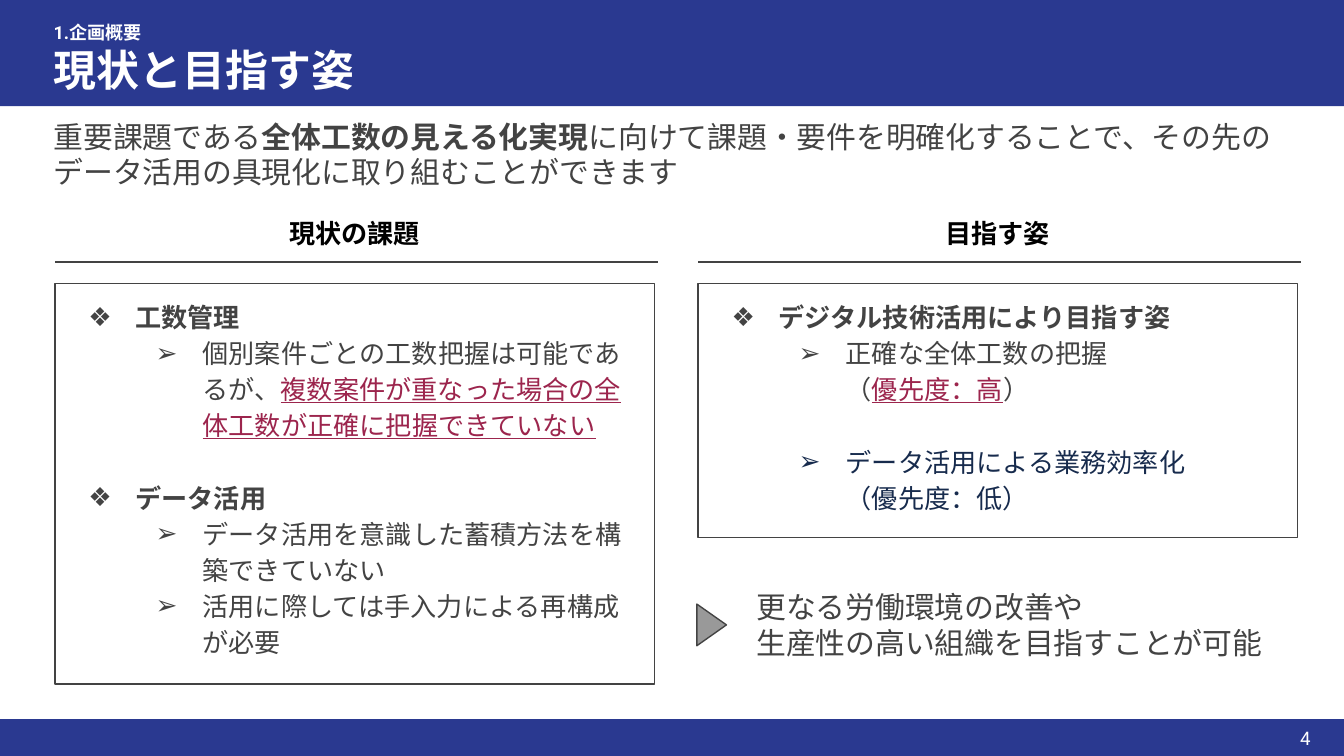
from dataclasses import dataclass

import lxml.etree
import pptx
import pptx.dml.color
import pptx.enum.shapes
import pptx.enum.text
import pptx.oxml.ns
import pptx.util

COLUMNS, ROWS = 100, 56.25
FONT = "Roboto"
NAVY, GREY, RED, INK = "2A3990", "434343", "9C254D", "172B4D"
WHITE, BLACK, SILVER = "FFFFFF", "000000", "999999"
BULLETS = "❖➢"
SHAPE = pptx.enum.shapes.MSO_SHAPE
ALIGN = pptx.enum.text.PP_ALIGN
ANCHOR = pptx.enum.text.MSO_ANCHOR


@dataclass
class Run:
    text: str
    bold: bool | None = None
    color: str | None = None
    underline: bool | None = None


@dataclass
class Para:
    runs: list[Run]
    size: float = 14
    color: str = GREY
    bold: bool = False
    align: ALIGN = ALIGN.LEFT
    level: int | None = None
    gap: float = 0


@dataclass
class Panel:
    left: float
    heading: str
    height: float
    items: list[Para]


def grid(cells: float) -> int:
    """Turn grid cells into a length."""
    return pptx.util.Inches(10 * cells / COLUMNS)


def rgb(value: str) -> pptx.dml.color.RGBColor:
    """Turn a hex string into a colour."""
    return pptx.dml.color.RGBColor.from_string(value)


def sub(parent, tag: str, **attrs: str):
    """Append a drawing element to its parent."""
    return lxml.etree.SubElement(parent, pptx.oxml.ns.qn(tag), attrs)


def set_bullet(p, level: int, color: str) -> None:
    """Give a paragraph its outline bullet and hanging indent."""
    p.level = level
    p.line_spacing = 1.15
    pPr = p._p.get_or_add_pPr()
    pPr.set("marL", str(grid(5 * (level + 1))))
    pPr.set("indent", str(-grid(3.5)))
    sub(sub(pPr, "a:buClr"), "a:srgbClr", val=color)
    sub(pPr, "a:buFont", typeface=FONT)
    sub(pPr, "a:buChar", char=BULLETS[level])


def write(s, paras: list[Para], anchor: ANCHOR = ANCHOR.TOP) -> None:
    """Fill a shape with paragraphs."""
    tf = s.text_frame
    tf.word_wrap = True
    tf.vertical_anchor = anchor
    tf.margin_left = tf.margin_right = tf.margin_top = tf.margin_bottom = grid(1)
    for i, para in enumerate(paras):
        p = tf.paragraphs[0] if i == 0 else tf.add_paragraph()
        p.alignment = para.align
        if para.gap:
            p.space_before = pptx.util.Pt(para.gap)
        if para.level is not None:
            set_bullet(p, para.level, para.color)
        font = p.font
        font.size, font.bold, font.name = pptx.util.Pt(para.size), para.bold, FONT
        font.color.rgb = rgb(para.color)
        sub(font._element, "a:ea", typeface=FONT)
        for run in para.runs:
            for n, line in enumerate(run.text.split("\n")):
                if n:
                    p.add_line_break()
                r = p.add_run()
                r.text = line
                r.font.bold, r.font.underline = run.bold, run.underline
                if run.color:
                    r.font.color.rgb = rgb(run.color)


def add_text(slide, x: float, y: float, w: float, h: float,
             paras: list[Para], anchor: ANCHOR = ANCHOR.TOP) -> None:
    """Place a text box on the grid."""
    write(slide.shapes.add_textbox(*map(grid, (x, y, w, h))), paras, anchor)


def add_shape(slide, kind: SHAPE, x: float, y: float, w: float, h: float,
              fill: str | None = None, line: str | None = None):
    """Place a preset shape on the grid."""
    s = slide.shapes.add_shape(kind, *map(grid, (x, y, w, h)))
    s.shadow.inherit = False
    if fill:
        s.fill.solid()
        s.fill.fore_color.rgb = rgb(fill)
    else:
        s.fill.background()
    if line:
        s.line.color.rgb = rgb(line)
        s.line.width = pptx.util.Pt(0.75)
    else:
        s.line.fill.background()
    return s


def add_panel(slide, panel: Panel) -> None:
    """Draw a heading, its rule and the framed list below."""
    heading = Para([Run(panel.heading)], color=BLACK, bold=True, align=ALIGN.CENTER)
    add_text(slide, panel.left, 15.2, 44.6, 4.4, [heading])
    rule = slide.shapes.add_connector(
        pptx.enum.shapes.MSO_CONNECTOR.STRAIGHT,
        *map(grid, (panel.left, 19.5, panel.left + 44.85, 19.5)))
    rule.line.color.rgb = rgb(GREY)
    rule.line.width = pptx.util.Pt(0.75)
    sub(rule._element.spPr, "a:effectLst")
    box = add_shape(slide, SHAPE.RECTANGLE, panel.left, 21.1, 44.6, panel.height, line=GREY)
    write(box, panel.items)


PANELS = [
    Panel(4.1, "現状の課題", 29.8, [
        Para([Run("工数管理")], bold=True, level=0),
        Para([Run("個別案件ごとの工数把握は可能であるが、"),
              Run("複数案件が重なった場合の全体工数が正確に把握できていない",
                  color=RED, underline=True)], level=1),
        Para([Run("データ活用")], bold=True, level=0, gap=19.4),
        Para([Run("データ活用を意識した蓄積方法を構築できていない")], level=1),
        Para([Run("活用に際しては手入力による再構成が必要")], level=1),
    ]),
    Panel(51.95, "目指す姿", 18.9, [
        Para([Run("デジタル技術活用により目指す姿")], bold=True, level=0),
        Para([Run("正確な全体工数の把握\n（"),
              Run("優先度：高", color=RED, underline=True), Run("）")], level=1),
        Para([Run("データ活用による業務効率化\n（優先度：低）")],
             color=INK, level=1, gap=19.4),
    ]),
]


def main() -> None:
    """Build and save the slide."""
    prs = pptx.Presentation()
    prs.slide_width, prs.slide_height = grid(COLUMNS), grid(ROWS)
    slide = prs.slides.add_slide(prs.slide_layouts[6])
    for top, height in ((0, 7.9), (53.5, ROWS - 53.5)):
        add_shape(slide, SHAPE.RECTANGLE, 0, top, COLUMNS, height, fill=NAVY)
    add_text(slide, 3, 0.6, 93.2, 6.6, [
        Para([Run("1.企画概要")], 9.7, WHITE, True),
        Para([Run("現状と目指す姿")], 23, WHITE, True)])
    add_text(slide, 3, 7.8, 95.6, 7.4, [Para([
        Run("重要課題である"), Run("全体工数の見える化実現", bold=True),
        Run("に向けて課題・要件を明確化することで、その先のデータ活用の具現化に取り組むことができます")], 16)])
    for panel in PANELS:
        add_panel(slide, panel)
    add_text(slide, 55.3, 42.8, 41.3, 7.4, [
        Para([Run(text)], 16)
        for text in ("更なる労働環境の改善や", "生産性の高い組織を目指すことが可能")])
    marker = add_shape(slide, SHAPE.FLOWCHART_EXTRACT, 51.4, 45.4, 3.1, 2.2, SILVER, GREY)
    marker.rotation = 90
    add_text(slide, 92.5, 53.1, 6, 3.7,
             [Para([Run("4")], 10, WHITE, align=ALIGN.RIGHT)], ANCHOR.MIDDLE)
    prs.save("out.pptx")


if __name__ == "__main__":
    main()
